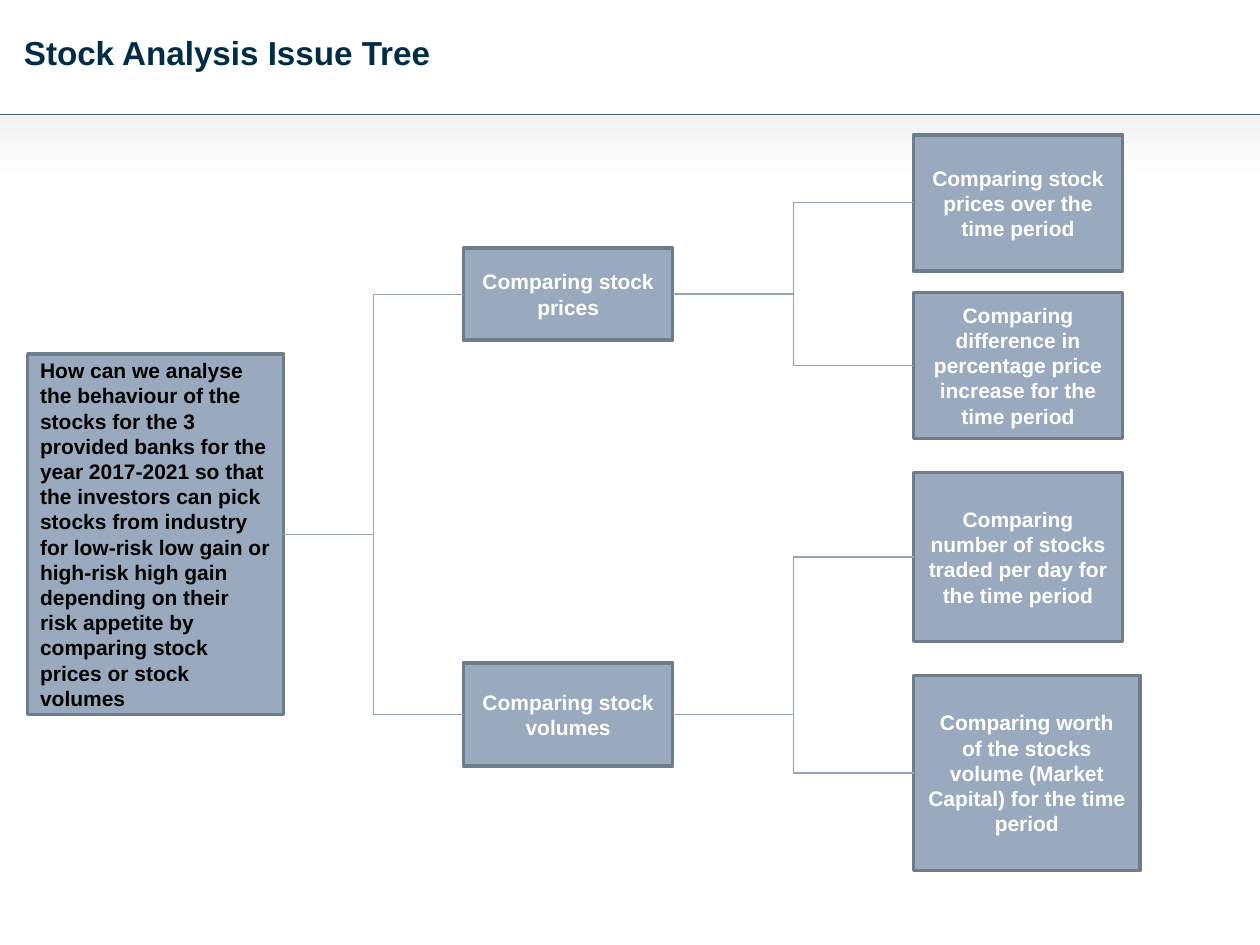
"""Build the stock analysis issue tree slide."""
from lxml import etree
from pptx import Presentation
from pptx.dml.color import RGBColor
from pptx.enum.shapes import MSO_CONNECTOR, MSO_SHAPE
from pptx.enum.text import MSO_ANCHOR, PP_ALIGN
from pptx.oxml.ns import qn
from pptx.util import Inches, Pt

RECTANGLE = MSO_SHAPE.RECTANGLE
STRAIGHT, ELBOW = MSO_CONNECTOR.STRAIGHT, MSO_CONNECTOR.ELBOW
MIDDLE = MSO_ANCHOR.MIDDLE
LEFT, CENTER = PP_ALIGN.LEFT, PP_ALIGN.CENTER
LEFT_SITE, RIGHT_SITE = 1, 3

FONT = "Arial"
NAVY = RGBColor(0x00, 0x2C, 0x46)
RULE_BLUE = RGBColor(0x40, 0x60, 0x85)
BOX_FILL = RGBColor(0x99, 0xAA, 0xBE)
BOX_EDGE = RGBColor(0x6F, 0x7C, 0x8A)
BRANCH = RGBColor(0x94, 0xA5, 0xB9)
PALE_GREY = RGBColor(0xF2, 0xF2, 0xF2)
WHITE = RGBColor(0xFF, 0xFF, 0xFF)
BLACK = RGBColor(0x00, 0x00, 0x00)

BOX_WIDTH = 1.66
TOPIC_LEFT, DETAIL_LEFT = 3.68, 7.25
QUESTION = (
    "How can we analyse the behaviour of the stocks for the 3 provided banks "
    "for the year 2017-2021 so that the investors can pick stocks from industry "
    "for low-risk low gain or high-risk high gain depending on their risk "
    "appetite by comparing stock prices or stock volumes"
)
TOPICS = [
    ("Comparing stock prices", 1.97, 0.73, [
        ("Comparing stock prices over the time period", 1.07, BOX_WIDTH, 1.08),
        ("Comparing difference in percentage price increase for the time period",
         2.32, BOX_WIDTH, 1.16),
    ]),
    ("Comparing stock volumes", 5.26, 0.82, [
        ("Comparing number of stocks traded per day for the time period",
         3.75, BOX_WIDTH, 1.34),
        ("Comparing worth of\u00a0the stocks volume (Market Capital) for the time period",
         5.36, 1.8, 1.55),
    ]),
]


def write_text(shape, text, size=12, color=WHITE, align=CENTER, margins=(0.1, 0.05)):
    """Put one bold paragraph in a shape."""
    frame = shape.text_frame
    frame.word_wrap = True
    frame.vertical_anchor = MIDDLE
    frame.margin_left = frame.margin_right = Inches(margins[0])
    frame.margin_top = frame.margin_bottom = Inches(margins[1])
    para = frame.paragraphs[0]
    para.alignment = align
    span = para.add_run()
    span.text = text
    span.font.name = FONT
    span.font.size = Pt(size)
    span.font.bold = True
    span.font.color.rgb = color


def add_rectangle(page, left, top, width, height):
    """Add a rectangle without a shadow."""
    shape = page.shapes.add_shape(
        RECTANGLE, Inches(left), Inches(top), Inches(width), Inches(height))
    shape.shadow.inherit = False
    return shape


def add_box(page, text, left, top, width, height, **text_format):
    """Add one box of the tree."""
    box = add_rectangle(page, left, top, width, height)
    box.fill.solid()
    box.fill.fore_color.rgb = BOX_FILL
    box.line.color.rgb = BOX_EDGE
    box.line.width = Pt(2)
    write_text(box, text, **text_format)
    return box


def add_line(page, kind, color, start=(0, 0), end=(0, 0)):
    """Add a thin connector without a shadow."""
    line = page.shapes.add_connector(
        kind, *(Inches(value) for value in (*start, *end)))
    line.line.color.rgb = color
    line.line.width = Pt(0.75)
    etree.SubElement(line._element.spPr, qn("a:effectLst"))
    return line


def add_branch(page, parent, child):
    """Join the right side of a parent to the left side of a child."""
    branch = add_line(page, ELBOW, BRANCH)
    branch.begin_connect(parent, RIGHT_SITE)
    branch.end_connect(child, LEFT_SITE)


def add_header(page):
    """Add the title, the shaded band and the rule."""
    title = page.shapes.add_textbox(
        Inches(0.19), Inches(0.25), Inches(9.43), Inches(0.33))
    write_text(title, "Stock Analysis Issue Tree", size=19, color=NAVY,
               align=LEFT, margins=(0, 0))
    band = add_rectangle(page, 0, 0.91, 10, 0.52)
    band.line.fill.background()
    band.fill.gradient()
    band.fill.gradient_angle = 270
    for stop, color in zip(band.fill.gradient_stops, (PALE_GREY, WHITE)):
        stop.color.rgb = color
    add_line(page, STRAIGHT, RULE_BLUE, (0, 0.91), (10, 0.91))


def add_tree(page):
    """Add the question, its topics and their details."""
    question = add_box(page, QUESTION, 0.22, 2.81, 2.03, 2.86,
                       color=BLACK, align=LEFT)
    for topic_text, topic_top, topic_height, details in TOPICS:
        topic = add_box(page, topic_text, TOPIC_LEFT, topic_top,
                        BOX_WIDTH, topic_height)
        add_branch(page, question, topic)
        for text, top, width, height in details:
            detail = add_box(page, text, DETAIL_LEFT, top, width, height)
            add_branch(page, topic, detail)


def main():
    """Create and save the deck."""
    deck = Presentation()
    deck.slide_width, deck.slide_height = Inches(10), Inches(7.5)
    page = deck.slides.add_slide(deck.slide_layouts[6])
    add_header(page)
    add_tree(page)
    deck.save("out.pptx")


main()
